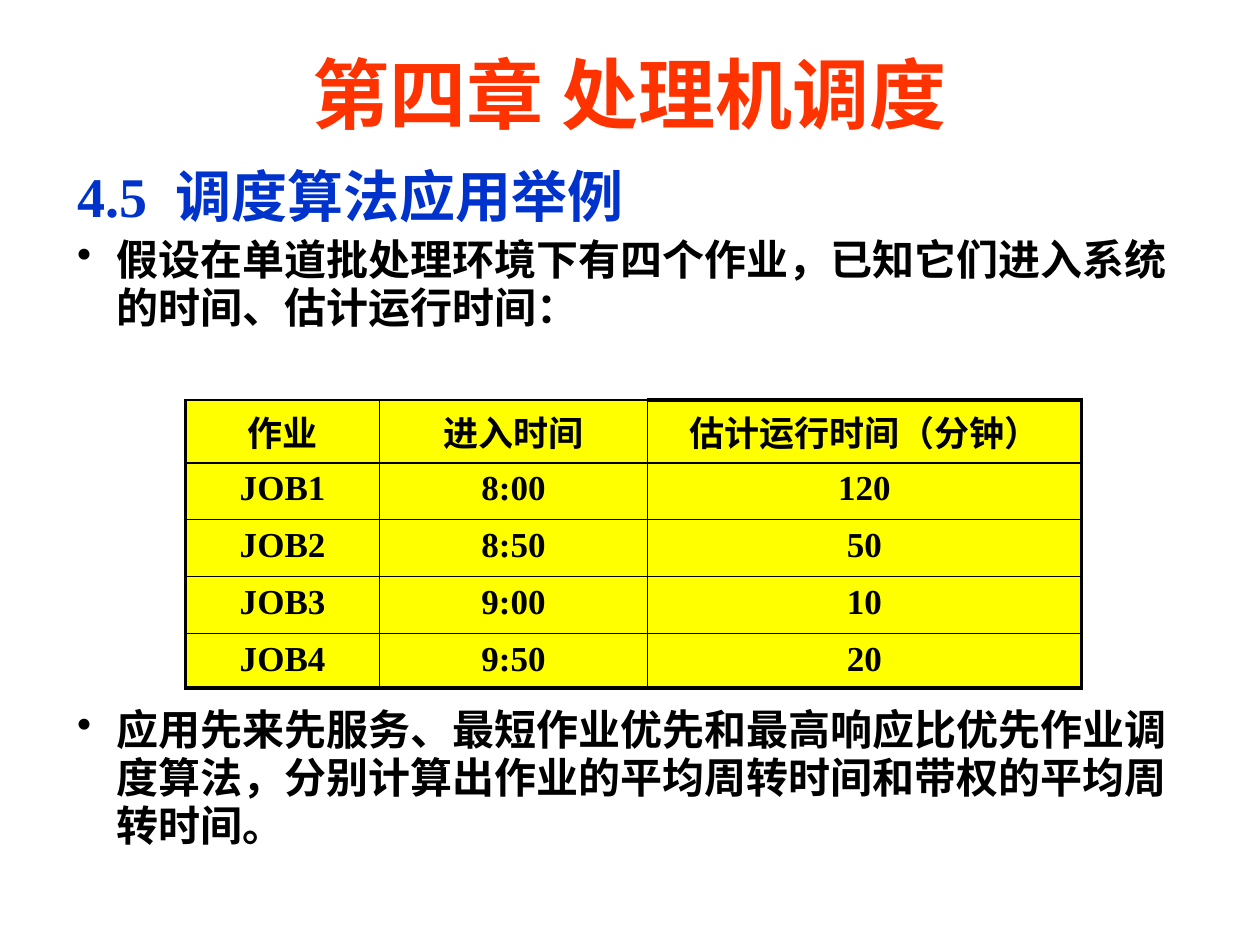
import pptx
import pptx.util
import pptx.dml.color
import pptx.enum.lang
import pptx.enum.text
import pptx.oxml
import pptx.oxml.ns
import lxml.etree

Pt = pptx.util.Pt
ALIGN = pptx.enum.text.PP_ALIGN
ANCHOR = pptx.enum.text.MSO_ANCHOR
FONT = "Times New Roman"
RED, BLUE, BLACK, YELLOW = "FF3300", "0033CC", "000000", "FFFF00"
THICK, THIN = 2.25, 1
INDENT = 22.5

ROWS = [
    ("作业", "进入时间", "估计运行时间（分钟）"),
    ("JOB1", "8:00", "120"),
    ("JOB2", "8:50", "50"),
    ("JOB3", "9:00", "10"),
    ("JOB4", "9:50", "20"),
]
WIDTHS = [111, 153, 248]
HEIGHTS = [36, 32.5, 32.5, 32.5, 31]


def color(code):
    return pptx.dml.color.RGBColor.from_string(code)


def add(parent, tag, **attrs):
    node = lxml.etree.SubElement(parent, pptx.oxml.ns.qn(tag))
    for key, value in attrs.items():
        node.set(key, str(value))
    return node


def style(para, size, code, align=ALIGN.LEFT):
    para.alignment = align
    font = para.font
    font.name, font.size, font.bold = FONT, Pt(size), True
    font.color.rgb = color(code)
    font.language_id = pptx.enum.lang.MSO_LANGUAGE_ID.SIMPLIFIED_CHINESE


def place(shape, box):
    shape.left, shape.top, shape.width, shape.height = map(Pt, box)


def title(slide, box, text):
    shape = slide.shapes.title
    place(shape, box)
    frame = shape.text_frame
    frame.word_wrap = True
    frame.vertical_anchor = ANCHOR.MIDDLE
    frame.text = text
    style(frame.paragraphs[0], 44, RED, ALIGN.CENTER)


def head(para, text):
    para.text = text
    stops = add(para._p.get_or_add_pPr(), "a:tabLst")
    add(stops, "a:tab", pos=Pt(56), algn="l")
    style(para, 32, BLUE)


def bullet(para, text):
    para.text = text
    props = para._p.get_or_add_pPr()
    props.set("marL", str(Pt(INDENT)))
    props.set("indent", str(-Pt(INDENT)))
    add(props, "a:buChar", char="•")
    style(para, 24, BLACK)


def body(slide, box, items):
    """Fill a text box with (function, text) items."""
    frame = slide.shapes.add_textbox(*map(Pt, box)).text_frame
    frame.word_wrap = True
    for i, (fill, text) in enumerate(items):
        para = frame.add_paragraph() if i else frame.paragraphs[0]
        fill(para, text)
        para.line_spacing = 0.95
        if i:
            para.space_before = Pt(4)


def border(cell, sides):
    props = cell._tc.get_or_add_tcPr()
    for i, (side, width) in enumerate(sides.items()):
        line = pptx.oxml.parse_xml(
            f'<a:{side} {pptx.oxml.ns.nsdecls("a")} w="{Pt(width)}">'
            f'<a:solidFill><a:srgbClr val="{BLACK}"/></a:solidFill></a:{side}>')
        props.insert(i, line)


def jobs(slide, left, top):
    grid = slide.shapes.add_table(
        len(ROWS), len(WIDTHS), Pt(left), Pt(top),
        Pt(sum(WIDTHS)), Pt(sum(HEIGHTS))).table
    grid.first_row = grid.horz_banding = False
    for col, width in zip(grid.columns, WIDTHS):
        col.width = Pt(width)
    for row, height in zip(grid.rows, HEIGHTS):
        row.height = Pt(height)
    end, last = len(ROWS) - 1, len(WIDTHS) - 1
    for r, row in enumerate(ROWS):
        for c, text in enumerate(row):
            cell = grid.cell(r, c)
            cell.text = text
            style(cell.text_frame.paragraphs[0], 20, BLACK, ALIGN.CENTER)
            cell.fill.solid()
            cell.fill.fore_color.rgb = color(YELLOW)
            # Heavy outer frame, except above the first two columns
            border(cell, {
                "lnL": THICK if c == 0 else THIN,
                "lnR": THICK if c == last else THIN,
                "lnT": THICK if r == 0 and c == last else THIN,
                "lnB": THICK if r == end else THIN,
            })


def main():
    deck = pptx.Presentation()
    deck.slide_width, deck.slide_height = Pt(720), Pt(540)
    slide = deck.slides.add_slide(deck.slide_layouts[5])

    # Chapter title
    title(slide, (54, 20, 612, 66), "第四章 处理机调度")

    # Section heading and the given facts
    body(slide, (37, 91.5, 647, 125), [
        (head, "4.5\t调度算法应用举例"),
        (bullet, "假设在单道批处理环境下有四个作业，已知它们进入系统的时间、估计运行时间："),
    ])

    # Job table
    jobs(slide, 106, 228.5)

    # Task
    body(slide, (37, 400.5, 647, 110), [
        (bullet, "应用先来先服务、最短作业优先和最高响应比优先作业调度算法，"
                 "分别计算出作业的平均周转时间和带权的平均周转时间。"),
    ])
    deck.save("out.pptx")


if __name__ == "__main__":
    main()
